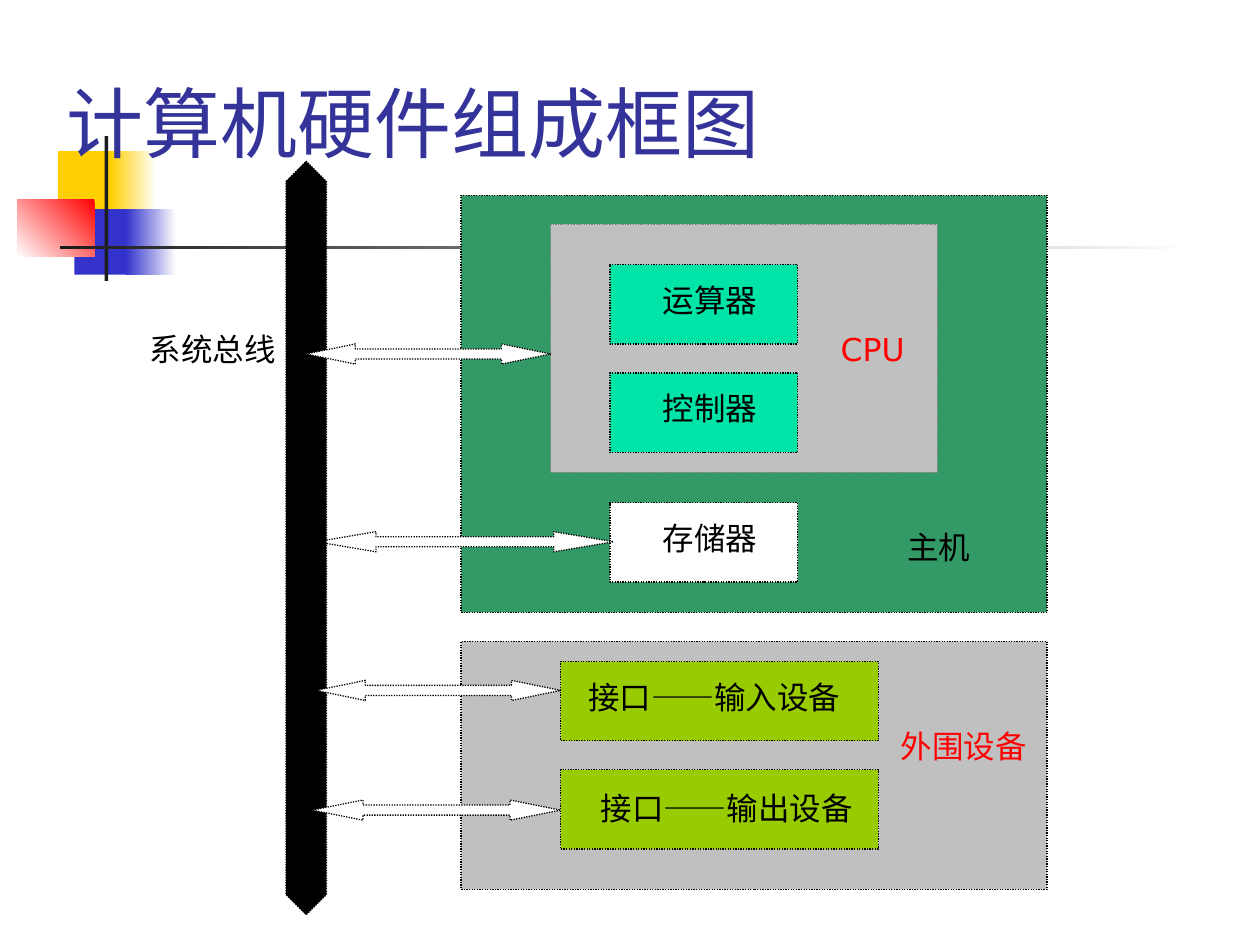
from pptx import Presentation
from pptx.dml.color import RGBColor
from pptx.enum.dml import MSO_LINE
from pptx.enum.shapes import MSO_SHAPE
from pptx.enum.text import MSO_ANCHOR, PP_ALIGN
from pptx.util import Inches, Pt

SANS = "DejaVu Sans"


def color(code):
    return RGBColor.from_string(code)


def place(box):
    return [Inches(n) for n in box]


def draw(slide, kind, box, fill, edge=None):
    shape = slide.shapes.add_shape(kind, *place(box))
    shape.shadow.inherit = False
    shape.fill.solid()
    shape.fill.fore_color.rgb = color(fill)
    if edge:
        shape.line.color.rgb = color(edge)
        shape.line.width = Pt(0.75)
        shape.line.dash_style = MSO_LINE.ROUND_DOT
    else:
        shape.line.fill.background()
    return shape


def block(slide, box, fill, edge="000000"):
    return draw(slide, MSO_SHAPE.RECTANGLE, box, fill, edge)


def fade(slide, box, start, end, angle=180):
    shape = block(slide, box, start, None)
    shape.fill.gradient()
    shape.fill.gradient_angle = angle
    for stop, code in zip(shape.fill.gradient_stops, (start, end)):
        stop.color.rgb = color(code)


def label(slide, box, text, ink="000000", wrap=False):
    frame = slide.shapes.add_textbox(*place(box)).text_frame
    frame.word_wrap = wrap
    para = frame.paragraphs[0]
    para.text = text
    para.alignment = PP_ALIGN.CENTER
    para.font.size = Pt(18)
    para.font.name = SANS
    para.font.color.rgb = color(ink)
    return para


def arrow(slide, kind, box, fill, shaft, head):
    shape = draw(slide, kind, box, fill, "000000")
    shape.adjustments[0] = shaft
    shape.adjustments[1] = head


def motif(slide, x, y):
    block(slide, (x + 0.32, y + 0.12, 0.48, 0.52), "FFCF01", None)
    fade(slide, (x + 0.74, y + 0.12, 0.36, 0.52), "FFFFFF", "FFCF01")
    block(slide, (x + 0.45, y + 0.58, 0.46, 0.52), "3333CC", None)
    fade(slide, (x + 0.86, y + 0.58, 0.4, 0.52), "FFFFFF", "3333CC")
    fade(slide, (x, y + 0.5, 0.61, 0.46), "FF0000", "FFFFFF", 225)
    block(slide, (x + 0.69, y, 0.03, 1.15), "1C1C1C", None)
    fade(slide, (x + 0.34, y + 0.87, 9, 0.03), "FFFFFF", "1C1C1C")


def title(slide, box):
    frame = slide.shapes.add_textbox(*place(box)).text_frame
    frame.word_wrap = True
    frame.vertical_anchor = MSO_ANCHOR.BOTTOM
    para = frame.paragraphs[0]
    para.text = "计算机硬件组成框图"
    para.font.size = Pt(44)
    para.font.name = "Karla"
    para.font.color.rgb = color("333399")


def unit(slide, x, y, fill, text):
    block(slide, (x, y, 1.49, 0.63), fill)
    label(slide, (x + 0.32, y + 0.08, 0.95, 0.4), text)


def host(slide, x, y, w, h):
    block(slide, (x, y, w, h), "339966")
    label(slide, (x + 3.44, y + 2.59, 0.7, 0.4), "主机")
    block(slide, (x + 0.71, y + 0.23, 3.07, 1.97), "C0C0C0", "808080")
    label(slide, (x + 2.91, y + 1.02, 0.71, 0.4), "CPU", "FF0000", True)
    for down, fill, text in (
        (0.55, "00E4A8", "运算器"),
        (1.41, "00E4A8", "控制器"),
        (2.44, "FFFFFF", "存储器"),
    ):
        unit(slide, x + 1.18, y + down, fill, text)


def outer(slide, x, y, w, h):
    block(slide, (x, y, w, h), "C0C0C0")
    label(slide, (x + 3.39, y + 0.63, 1.2, 0.4), "外围设备", "FF0000")
    for down in (0.16, 1.02):
        block(slide, (x + 0.79, y + down, 2.52, 0.63), "99CC00")
    label(slide, (x + 0.87, y + 0.24, 2.28, 0.4), "接口——输入设备", wrap=True)
    para = label(slide, (x + 1.01, y + 1.12, 2.2, 0.4), "接口——")
    para.runs[0].font.name = "Arial"
    para.add_run().text = "输出设备"


def bus(slide, x, y, w, h):
    link = MSO_SHAPE.LEFT_RIGHT_ARROW
    arrow(slide, link, (x + 0.24, y + 2.94, 2.36, 0.16), "FFFFFF", 0.5, 2.97)
    arrow(slide, MSO_SHAPE.UP_DOWN_ARROW, (x, y, w, h), "000000", 0.5, 2.03)
    for left, down, wide, head in (
        (0.16, 1.45, 1.94, 2.44),
        (0.24, 4.12, 1.94, 2.44),
        (0.21, 5.07, 1.97, 2.51),
    ):
        arrow(slide, link, (x + left, y + down, wide, 0.16), "FFFFFF", 0.5, head)
    label(slide, (x - 1.18, y + 1.29, 1.2, 0.4), "系统总线")


def main():
    deck = Presentation()
    deck.slide_width = Inches(10)
    deck.slide_height = Inches(7.5)
    slide = deck.slides.add_slide(deck.slide_layouts[6])
    motif(slide, 0.14, 1.08)
    title(slide, (0.43, 0, 9, 1.38))
    host(slide, 3.66, 1.55, 4.65, 3.31)
    outer(slide, 3.66, 5.09, 4.65, 1.97)
    bus(slide, 2.27, 1.28, 0.32, 5.98)
    deck.save("out.pptx")


if __name__ == "__main__":
    main()
